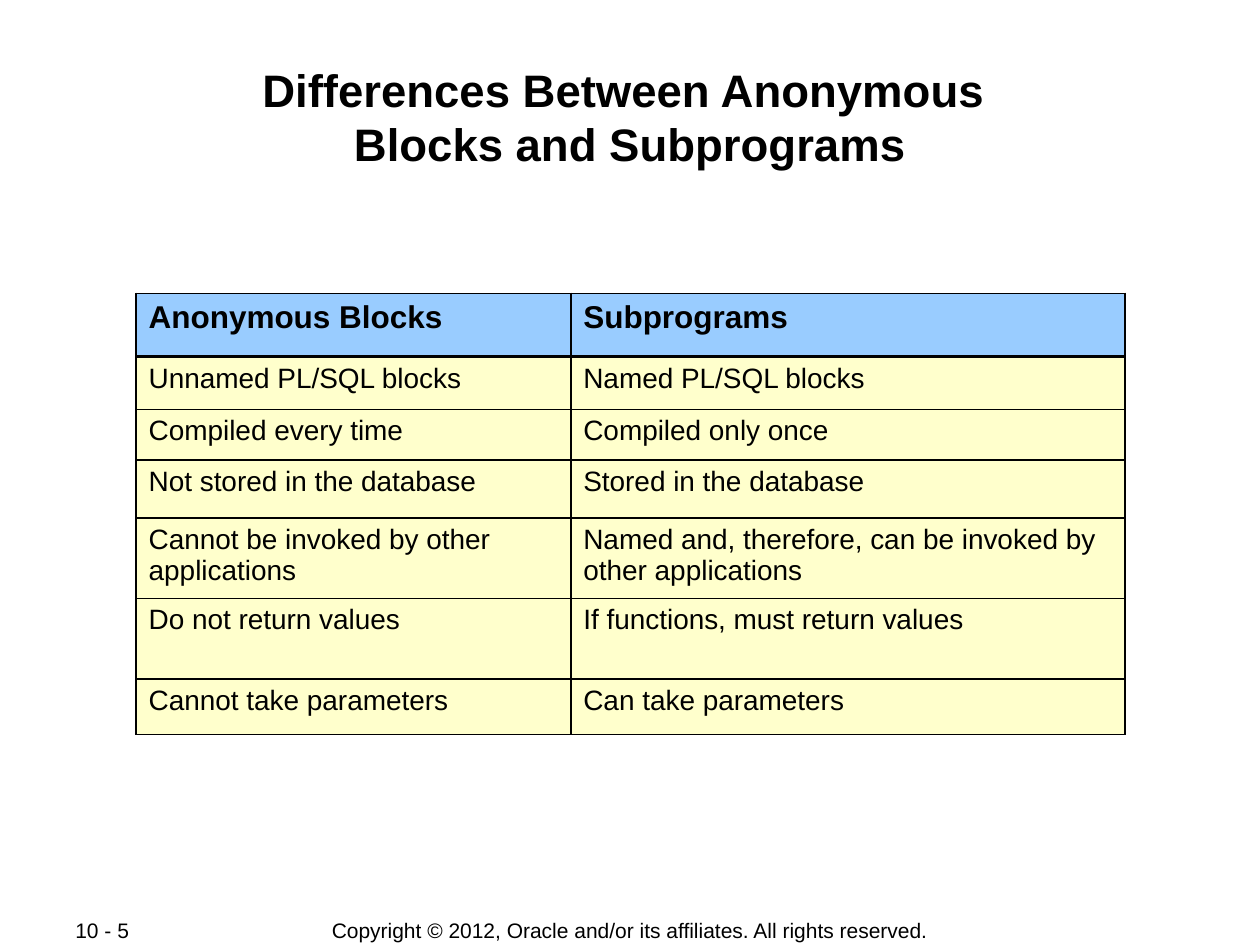
from lxml import etree
from pptx import Presentation
from pptx.dml.color import RGBColor
from pptx.enum.text import MSO_ANCHOR, PP_ALIGN
from pptx.oxml.ns import qn
from pptx.util import Inches, Pt

LEFT, CENTER = PP_ALIGN.LEFT, PP_ALIGN.CENTER
TOP, MIDDLE = MSO_ANCHOR.TOP, MSO_ANCHOR.MIDDLE
FONT = "Arial"
COLORS = {"text": "000000", "border": "000000", "header": "99CCFF", "body": "FFFFCC"}
THIN, THICK = 1.08, 2.21

COLUMN_WIDTHS = [3.45, 4.4]
ROW_HEIGHTS = [0.5, 0.42, 0.4, 0.46, 0.64, 0.64, 0.44]
ROWS = [
    ("Anonymous Blocks", "Subprograms"),
    ("Unnamed PL/SQL blocks", "Named PL/SQL blocks"),
    ("Compiled every time", "Compiled only once"),
    ("Not stored in the database", "Stored in the database"),
    ("Cannot be invoked by other applications",
     "Named and, therefore, can be invoked by other applications"),
    ("Do not return values", "If functions, must return values"),
    ("Cannot take parameters", "Can take parameters"),
]


def style_paragraph(p, size, bold=False, align=LEFT):
    p.alignment = align
    p.font.name = FONT
    p.font.size = Pt(size)
    p.font.bold = bold
    p.font.color.rgb = RGBColor.from_string(COLORS["text"])


def set_title(s, text):
    title = s.shapes.title
    title.left, title.top = Inches(0.67), Inches(0.48)
    title.width, title.height = Inches(8.66), Inches(0.96)
    tf = title.text_frame
    tf.margin_left = tf.margin_right = tf.margin_top = tf.margin_bottom = Inches(0.01)
    tf.vertical_anchor = TOP
    tf.text = text
    style_paragraph(tf.paragraphs[0], 26, True, CENTER)


def add_footer(s, text, left, width, align):
    box = s.shapes.add_textbox(Inches(left), Inches(7.28), Inches(width), Inches(0.2))
    tf = box.text_frame
    tf.word_wrap = True
    tf.vertical_anchor = MIDDLE
    tf.text = text
    style_paragraph(tf.paragraphs[0], 12, align=align)


def set_borders(cell, top, bottom):
    tc_pr = cell._tc.get_or_add_tcPr()
    sides = [("L", THIN), ("R", THIN), ("T", top), ("B", bottom)]
    for i, (side, width) in enumerate(sides):
        ln = etree.Element(qn(f"a:ln{side}"), w=str(Pt(width)))
        fill = etree.SubElement(ln, qn("a:solidFill"))
        etree.SubElement(fill, qn("a:srgbClr"), val=COLORS["border"])
        tc_pr.insert(i, ln)


def add_comparison_table(s):
    frame = s.shapes.add_table(
        len(ROWS), len(COLUMN_WIDTHS), Inches(1.08), Inches(2.33),
        Inches(sum(COLUMN_WIDTHS)), Inches(sum(ROW_HEIGHTS)))
    table = frame.table
    table.first_row = table.horz_banding = False
    for column, width in zip(table.columns, COLUMN_WIDTHS):
        column.width = Inches(width)
    for r, (texts, height) in enumerate(zip(ROWS, ROW_HEIGHTS)):
        table.rows[r].height = Inches(height)
        header = r == 0
        for c, text in enumerate(texts):
            cell = table.cell(r, c)
            cell.text = text
            cell.fill.solid()
            cell.fill.fore_color.rgb = RGBColor.from_string(
                COLORS["header" if header else "body"])
            style_paragraph(cell.text_frame.paragraphs[0], 18 if header else 16, header)
            # The rule under the header row is thicker
            set_borders(cell, THICK if r == 1 else THIN, THICK if header else THIN)


def main():
    prs = Presentation()
    prs.slide_width, prs.slide_height = Inches(10), Inches(7.5)
    s = prs.slides.add_slide(prs.slide_layouts[5])

    # Footer
    add_footer(s, "Copyright © 2012, Oracle and/or its affiliates. All rights reserved.",
               2.4, 5.2, CENTER)
    add_footer(s, "10 - 5", 0.5, 1.06, LEFT)

    # Title and table
    set_title(s, "Differences Between Anonymous \vBlocks and Subprograms")
    add_comparison_table(s)

    prs.save("out.pptx")


if __name__ == "__main__":
    main()
